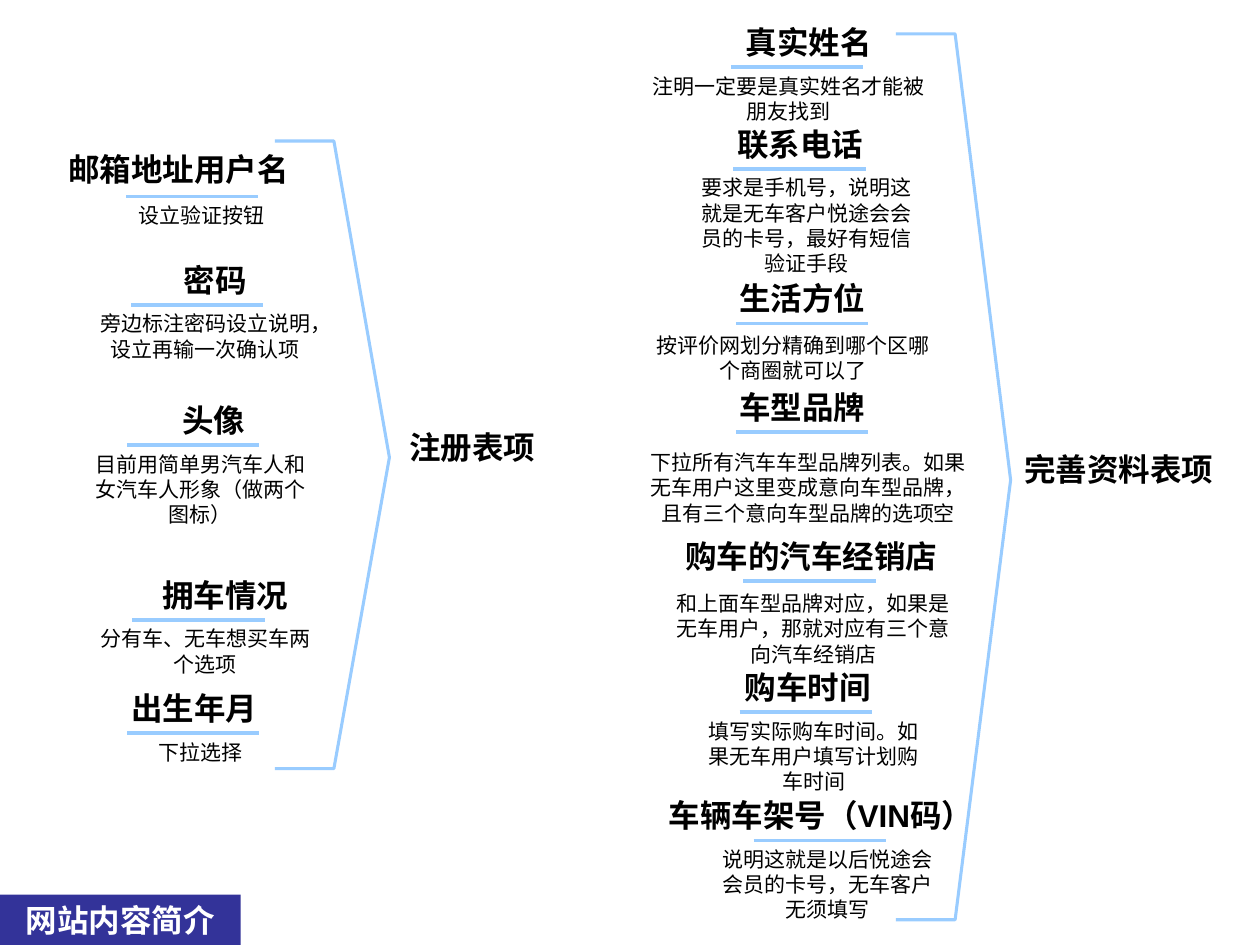
from dataclasses import dataclass

from lxml import etree
from pptx import Presentation
from pptx.dml.color import RGBColor
from pptx.enum.shapes import MSO_CONNECTOR, MSO_SHAPE
from pptx.enum.text import MSO_ANCHOR, MSO_AUTO_SIZE, PP_ALIGN
from pptx.oxml.ns import qn
from pptx.util import Pt

STRAIGHT = MSO_CONNECTOR.STRAIGHT
RECTANGLE = MSO_SHAPE.RECTANGLE
TOP = MSO_ANCHOR.TOP
GROW = MSO_AUTO_SIZE.SHAPE_TO_FIT_TEXT
CENTER = PP_ALIGN.CENTER

FONT = "Arial"
BLACK, WHITE, SKY, NAVY = "000000", "FFFFFF", "99CCFF", "333399"
HEADING_SIZE, NOTE_SIZE = 18, 12
HEADING_HEIGHT = 28.8
RULE_LENGTH = 75.6
NOTE_LINE = 14.4
NOTE_PADDING = 7.2


@dataclass
class Field:
    """A form field: heading above a rule, note below it."""
    heading: str
    note: str
    rule: tuple            # left, y
    heading_span: tuple    # left, width
    note_span: tuple       # left, width
    note_lines: int
    note_gap: float = 0
    heading_rise: float = HEADING_HEIGHT


REGISTRATION = [
    Field("邮箱地址用户名", "设立验证按钮",
          (72, 112.3), (13.7, 176.4), (71.2, 88), 1, heading_rise=30.2),
    Field("密码", "旁边标注密码设立说明，设立再输一次确认项",
          (74.9, 174.2), (87.8, 70.6), (46.4, 142), 3),
    Field("头像", "目前用简单男汽车人和女汽车人形象（做两个图标）",
          (72.7, 254.2), (85.7, 72.7), (42.5, 144), 3),
    Field("拥车情况", "分有车、无车想买车两个选项",
          (75.6, 354.2), (70.6, 115.9), (45.4, 144), 2),
    Field("出生年月", "下拉选择",
          (72.7, 419), (67.7, 86.4), (42.5, 144), 1),
]

PROFILE = [
    Field("真实姓名", "注明一定要是真实姓名才能被朋友找到",
          (417.6, 38.2), (419, 86.4), (360, 181.4), 2),
    Field("联系电话", "要求是手机号，说明这就是无车客户悦途会会员的卡号，最好有短信验证手段",
          (419, 96.5), (414, 86.4), (388.8, 144), 4),
    Field("生活方位", "按评价网划分精确到哪个区哪个商圈就可以了",
          (420.5, 185), (415.4, 86.4), (365, 176.4), 2, 1.4),
    Field("车型品牌", "下拉所有汽车车型品牌列表。如果无车用户这里变成意向车型品牌，且有三个意向车型品牌的选项空",
          (420.5, 247), (415.4, 86.4), (360, 203.8), 3, 6.5),
    Field("购车的汽车经销店", "和上面车型品牌对应，如果是无车用户，那就对应有三个意向汽车经销店",
          (424.8, 331.9), (384.5, 158.4), (375.1, 179.3), 3, 2.2),
    Field("购车时间", "填写实际购车时间。如果无车用户填写计划购车时间",
          (422.6, 406.8), (418.3, 86.4), (393.1, 144), 3),
    Field("车辆车架号（VIN码）", "说明这就是以后悦途会会员的卡号，无车客户无须填写",
          (430.6, 480.2), (359.1, 220), (401, 144), 3),
]


def rgb(hex_color):
    return RGBColor.from_string(hex_color)


def write(shape, text, size, color, bold, wrap):
    frame = shape.text_frame
    frame.text = text
    frame.word_wrap = wrap
    frame.auto_size = GROW
    frame.vertical_anchor = TOP
    paragraph = frame.paragraphs[0]
    paragraph.alignment = CENTER
    font = paragraph.runs[0].font
    font.name, font.size, font.bold = FONT, Pt(size), bold
    font.color.rgb = rgb(color)


def add_heading(slide, text, left, top, width):
    box = slide.shapes.add_textbox(Pt(left), Pt(top), Pt(width), Pt(HEADING_HEIGHT))
    write(box, text, HEADING_SIZE, BLACK, True, False)


def add_note(slide, text, left, top, width, lines):
    height = NOTE_PADDING + NOTE_LINE * lines
    box = slide.shapes.add_textbox(Pt(left), Pt(top), Pt(width), Pt(height))
    write(box, text, NOTE_SIZE, BLACK, False, True)


def add_rule(slide, left, y):
    rule = slide.shapes.add_connector(
        STRAIGHT, Pt(left), Pt(y), Pt(left + RULE_LENGTH), Pt(y))
    rule.line.color.rgb = rgb(SKY)
    rule.line.width = Pt(2)
    etree.SubElement(rule._element.spPr, qn("a:effectLst"))


def add_field(slide, field):
    left, y = field.rule
    add_rule(slide, left, y)
    heading_left, heading_width = field.heading_span
    add_heading(slide, field.heading, heading_left, y - field.heading_rise, heading_width)
    note_left, note_width = field.note_span
    add_note(slide, field.note, note_left, y + field.note_gap, note_width, field.note_lines)


def add_bracket(slide, left, top, tip_y, bottom):
    """Open bracket whose tip points right."""
    bend, tip = left + 33.8, left + 65.5
    outline = slide.shapes.build_freeform(Pt(left), Pt(top))
    outline.add_line_segments(
        [(Pt(x), Pt(y)) for x, y in
         ((bend, top), (tip, tip_y), (bend, bottom), (left, bottom))],
        close=False)
    bracket = outline.convert_to_shape()
    bracket.fill.background()
    bracket.line.color.rgb = rgb(SKY)
    bracket.line.width = Pt(1.75)
    bracket.shadow.inherit = False


def add_banner(slide, text):
    banner = slide.shapes.add_shape(
        RECTANGLE, Pt(0), Pt(511.2), Pt(137.5), Pt(HEADING_HEIGHT))
    banner.fill.solid()
    banner.fill.fore_color.rgb = rgb(NAVY)
    banner.line.fill.background()
    banner.shadow.inherit = False
    write(banner, text, HEADING_SIZE, WHITE, True, True)


def main():
    deck = Presentation()
    deck.slide_width, deck.slide_height = Pt(720), Pt(540)
    slide = deck.slides.add_slide(deck.slide_layouts[6])

    add_bracket(slide, 157, 80.6, 261.4, 439.2)
    add_heading(slide, "注册表项", 226.8, 241.2, 86.4)
    add_bracket(slide, 512, 19.4, 274.3, 525.6)
    add_heading(slide, "完善资料表项", 578.2, 253.4, 122.4)
    for field in REGISTRATION + PROFILE:
        add_field(slide, field)
    add_banner(slide, "网站内容简介")

    deck.save("out.pptx")


if __name__ == "__main__":
    main()
